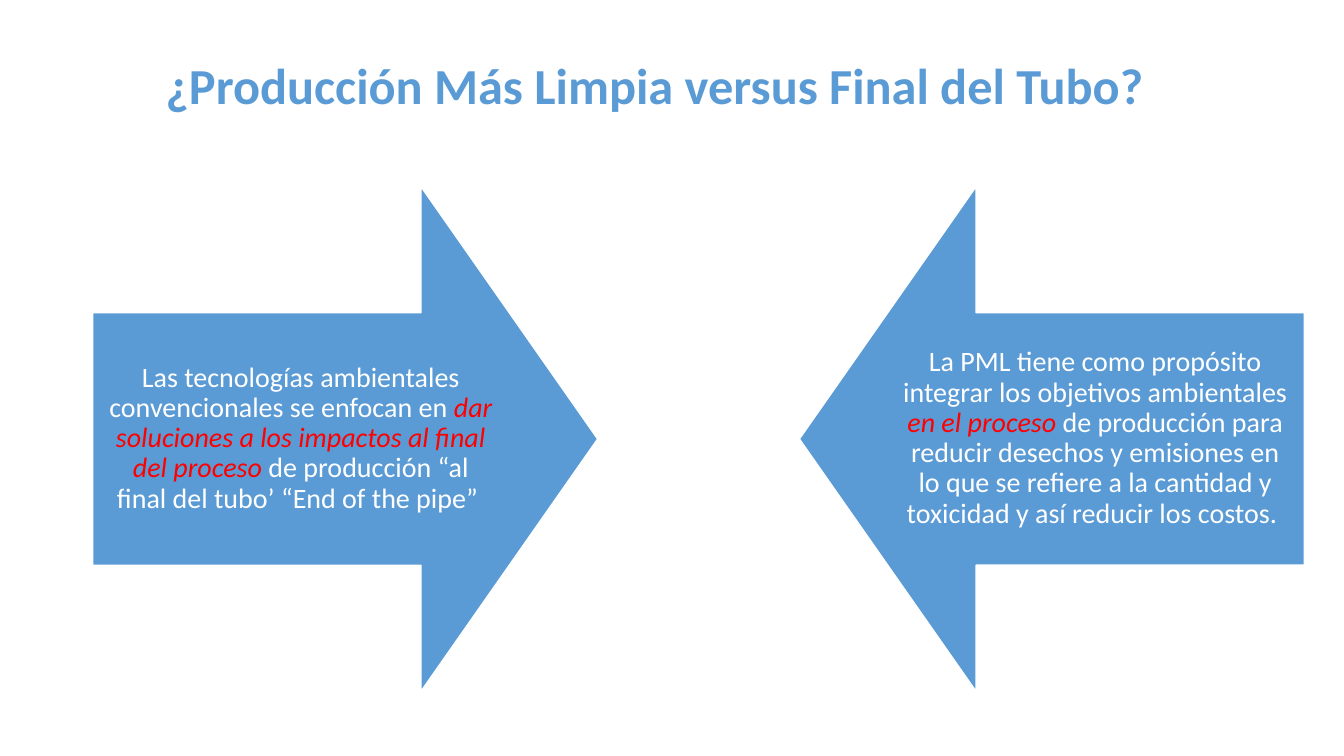
from dataclasses import dataclass

from pptx import Presentation
from pptx.dml.color import RGBColor
from pptx.enum.shapes import MSO_SHAPE
from pptx.enum.text import MSO_ANCHOR, PP_ALIGN
from pptx.slide import Slide
from pptx.text.text import _Run as Run
from pptx.util import Pt

BLUE = RGBColor(0x5B, 0x9B, 0xD5)
RED = RGBColor(0xFF, 0x00, 0x00)
WHITE = RGBColor(0xFF, 0xFF, 0xFF)

FONT = "Calibri"
ARROW_TOP, ARROW_SIZE = 133.2, 360.7
TEXT_TOP, TEXT_WIDTH, TEXT_HEIGHT = 223.2, 297.4, 180
TEXT_INSET = 11.2


@dataclass
class Approach:
    left: float
    text_left: float
    rotation: int
    before: str
    emphasis: str
    after: str


APPROACHES = [
    Approach(66.2, 66.2, 270,
             "Las tecnologías ambientales convencionales se enfocan en ",
             "dar soluciones a los impactos al final del proceso",
             " de producción “al final del tubo’ “End of the pipe” "),
    Approach(571, 633.6, 90,
             "La PML tiene como propósito integrar los objetivos ambientales ",
             "en el proceso ",
             "de producción para reducir desechos y emisiones en lo que se "
             "refiere a la cantidad y toxicidad y así reducir los costos. "),
]


def format_run(r: Run, size: float, color: RGBColor,
               bold: bool = False, italic: bool = False) -> None:
    r.font.name = FONT
    r.font.size = Pt(size)
    r.font.color.rgb = color
    r.font.bold = bold
    r.font.italic = italic


def add_title(s: Slide, text: str) -> None:
    title = s.shapes.title
    title.left, title.top = Pt(66.2), Pt(28.8)
    title.width, title.height = Pt(828), Pt(67.7)
    tf = title.text_frame
    tf.text = text
    tf.vertical_anchor = MSO_ANCHOR.MIDDLE
    tf.margin_right = Pt(32)
    p = tf.paragraphs[0]
    p.alignment = PP_ALIGN.CENTER
    p.line_spacing = 0.9
    format_run(p.runs[0], 36, BLUE, bold=True)


def add_approach(s: Slide, approach: Approach) -> None:
    # Arrow pointing to the middle of the slide
    arrow = s.shapes.add_shape(MSO_SHAPE.DOWN_ARROW, Pt(approach.left),
                               Pt(ARROW_TOP), Pt(ARROW_SIZE), Pt(ARROW_SIZE))
    arrow.rotation = approach.rotation
    arrow.adjustments[0] = 0.5
    arrow.adjustments[1] = 0.35
    arrow.shadow.inherit = False
    arrow.fill.solid()
    arrow.fill.fore_color.rgb = BLUE
    arrow.line.color.rgb = WHITE
    arrow.line.width = Pt(1)

    # Upright text over the arrow shaft
    box = s.shapes.add_textbox(Pt(approach.text_left), Pt(TEXT_TOP),
                               Pt(TEXT_WIDTH), Pt(TEXT_HEIGHT))
    tf = box.text_frame
    tf.word_wrap = True
    tf.vertical_anchor = MSO_ANCHOR.MIDDLE
    tf.margin_left = tf.margin_right = Pt(TEXT_INSET)
    tf.margin_top = tf.margin_bottom = Pt(TEXT_INSET)
    p = tf.paragraphs[0]
    p.alignment = PP_ALIGN.CENTER
    p.line_spacing = 0.9
    for text, color, italic in ((approach.before, WHITE, False),
                                (approach.emphasis, RED, True),
                                (approach.after, WHITE, False)):
        r = p.add_run()
        r.text = text
        format_run(r, 20, color, italic=italic)


def main() -> None:
    prs = Presentation()
    prs.slide_width, prs.slide_height = Pt(960), Pt(540)
    s = prs.slides.add_slide(prs.slide_layouts[5])
    add_title(s, "¿Producción Más Limpia versus Final del Tubo?")
    for approach in APPROACHES:
        add_approach(s, approach)
    prs.save("out.pptx")


if __name__ == "__main__":
    main()
